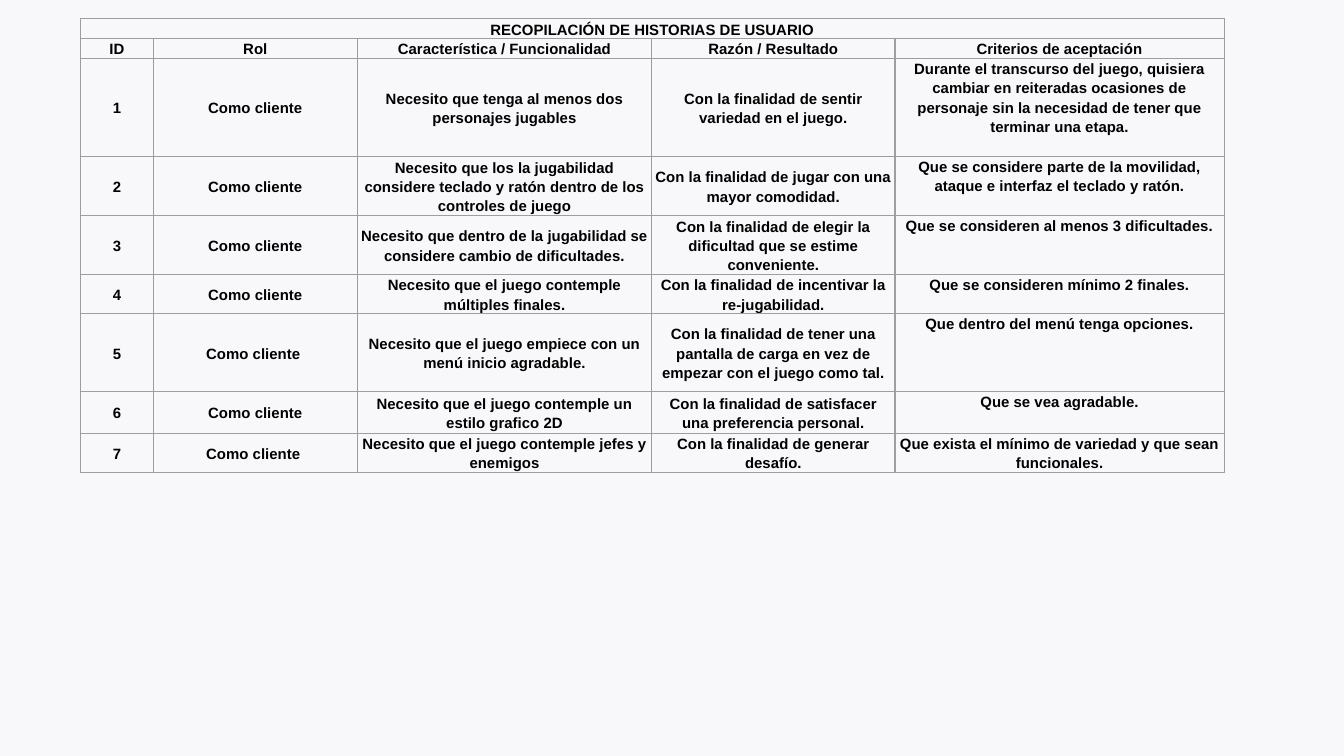
from lxml import etree
from pptx import Presentation
from pptx.dml.color import RGBColor
from pptx.enum.text import MSO_ANCHOR, PP_ALIGN
from pptx.oxml.ns import qn
from pptx.util import Inches, Pt

CENTER = PP_ALIGN.CENTER
TOP, MIDDLE = MSO_ANCHOR.TOP, MSO_ANCHOR.MIDDLE
COLORS = {"background": "F8F7FA", "border": "9E9E9E", "text": "000000"}
FONT, FONT_SIZE = "Arial", Pt(8)
BORDER_WIDTH = Pt(0.75)
SIDE_MARGIN = Pt(1.8)
COLUMN_WEIGHTS = [0.54, 1.52, 2.19, 1.81, 2.45]
ROW_WEIGHTS = [0.14, 0.15, 0.73, 0.44, 0.44, 0.29, 0.58, 0.31, 0.29]

TITLE = "RECOPILACIÓN DE HISTORIAS DE USUARIO"
HEADINGS = ["ID", "Rol", "Característica / Funcionalidad", "Razón / Resultado",
            "Criterios de aceptación"]
STORIES = [
    ["1", "Como cliente", "Necesito que tenga al menos dos personajes jugables",
     "Con la finalidad de sentir variedad en el juego.",
     "Durante el transcurso del juego, quisiera cambiar en reiteradas ocasiones de "
     "personaje sin la necesidad de tener que terminar una etapa."],
    ["2", "Como cliente",
     "Necesito que los la jugabilidad considere teclado y ratón dentro de los controles de juego",
     "Con la finalidad de jugar con una mayor comodidad.",
     "Que se considere parte de la movilidad, ataque e interfaz el teclado y ratón."],
    ["3", "Como cliente",
     "Necesito que dentro de la jugabilidad se considere cambio de dificultades.",
     "Con la finalidad de elegir la dificultad que se estime conveniente.",
     "Que se consideren al menos 3 dificultades."],
    ["4", "Como cliente", "Necesito que el juego contemple múltiples finales.",
     "Con la finalidad de incentivar la re-jugabilidad.",
     "Que se consideren mínimo 2 finales."],
    ["5", "Como cliente ", "Necesito que el juego empiece con un menú inicio agradable.",
     "Con la finalidad de tener una pantalla de carga en vez de empezar con el juego como tal.",
     "Que dentro del menú tenga opciones."],
    ["6", "Como cliente", "Necesito que el juego contemple un estilo grafico 2D",
     "Con la finalidad de satisfacer una preferencia personal.", "Que se vea agradable."],
    ["7", "Como cliente ", "Necesito que el juego contemple jefes y enemigos",
     "Con la finalidad de generar desafío.",
     "Que exista el mínimo de variedad y que sean funcionales."],
]


def set_borders(cell):
    """Draw a thin line on the four sides of a cell."""
    properties = cell._tc.get_or_add_tcPr()
    for position, side in enumerate(("lnL", "lnR", "lnT", "lnB")):
        line = etree.Element(qn(f"a:{side}"), w=str(int(BORDER_WIDTH)))
        fill = etree.SubElement(line, qn("a:solidFill"))
        etree.SubElement(fill, qn("a:srgbClr"), val=COLORS["border"])
        properties.insert(position, line)


def format_cell(cell, anchor):
    """Give a cell its margins, fill, borders and anchor."""
    cell.margin_left = cell.margin_right = SIDE_MARGIN
    cell.margin_top = cell.margin_bottom = 0
    cell.vertical_anchor = anchor
    cell.fill.background()
    set_borders(cell)


def write_cell(cell, text):
    """Write centred bold text in a cell."""
    cell.text_frame.text = text
    paragraph = cell.text_frame.paragraphs[0]
    paragraph.alignment = CENTER
    paragraph.line_spacing = 1.15
    paragraph.space_after = Pt(10)
    font = paragraph.runs[0].font
    font.name, font.size, font.bold = FONT, FONT_SIZE, True
    font.color.rgb = RGBColor.from_string(COLORS["text"])


def add_story_table(slide, left, top, width, height):
    """Place the table of user stories in the given box."""
    rows = [[TITLE], HEADINGS, *STORIES]
    last_column = len(HEADINGS) - 1
    frame = slide.shapes.add_table(len(rows), len(HEADINGS), left, top, width, height)
    table = frame.table
    table.first_row = table.horz_banding = False
    for column, weight in zip(table.columns, COLUMN_WEIGHTS):
        column.width = int(width * weight / sum(COLUMN_WEIGHTS))
    for row, weight in zip(table.rows, ROW_WEIGHTS):
        row.height = int(height * weight / sum(ROW_WEIGHTS))
    table.cell(0, 0).merge(table.cell(0, last_column))
    for row_index, texts in enumerate(rows):
        for column_index in range(len(HEADINGS)):
            is_criterion = row_index > 0 and column_index == last_column
            format_cell(table.cell(row_index, column_index), TOP if is_criterion else MIDDLE)
        for column_index, text in enumerate(texts):
            write_cell(table.cell(row_index, column_index), text)


def main():
    """Build and save the presentation."""
    presentation = Presentation()
    presentation.slide_width = Inches(10)
    presentation.slide_height = Inches(10 * 9 / 16)
    slide = presentation.slides.add_slide(presentation.slide_layouts[6])
    background = slide.background.fill
    background.solid()
    background.fore_color.rgb = RGBColor.from_string(COLORS["background"])
    add_story_table(slide, int(presentation.slide_width * 0.06), Inches(0.14),
                    Inches(sum(COLUMN_WEIGHTS)), Inches(sum(ROW_WEIGHTS)))
    presentation.save("out.pptx")


if __name__ == "__main__":
    main()
